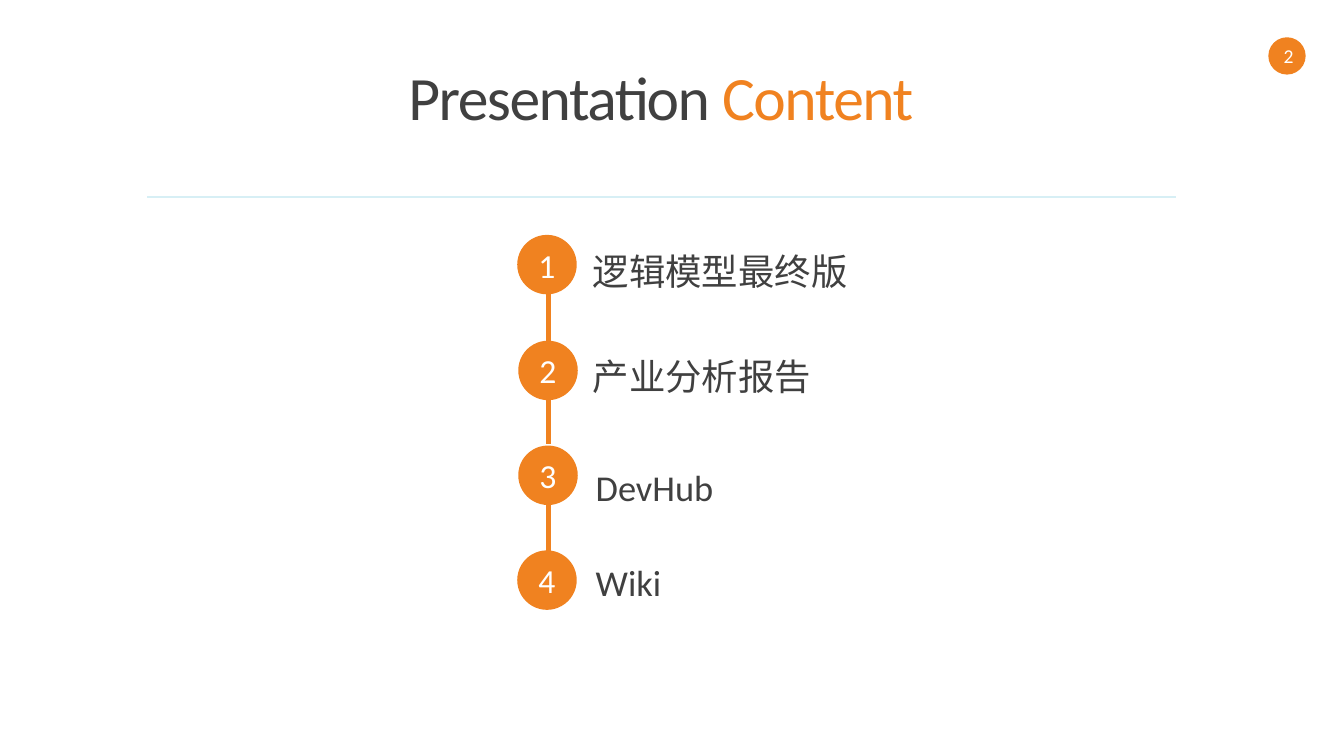
from dataclasses import dataclass

import pptx
import pptx.dml.color
import pptx.enum.shapes
import pptx.enum.text
import pptx.oxml.ns
import pptx.util
from lxml import etree
from pptx.util import Inches

RGBColor = pptx.dml.color.RGBColor
ORANGE = RGBColor(0xF0, 0x82, 0x20)
DARK_GRAY = RGBColor(0x40, 0x40, 0x40)
PALE_BLUE = RGBColor(0xD7, 0xEF, 0xF5)
WHITE = RGBColor(0xFF, 0xFF, 0xFF)

ALIGN = pptx.enum.text.PP_ALIGN
ANCHOR = pptx.enum.text.MSO_ANCHOR
AUTO_SIZE = pptx.enum.text.MSO_AUTO_SIZE

BADGE_SIZE = 0.59
LINK_X = 5.44


@dataclass(frozen=True)
class Topic:
    label: str
    badge_left: float
    badge_top: float
    label_left: float
    label_top: float
    label_width: float


@dataclass(frozen=True)
class Link:
    top: float
    bottom: float


TOPICS = [
    Topic("逻辑模型最终版", 5.13, 2.33, 5.78, 2.42, 2.75),
    Topic("产业分析报告", 5.14, 3.38, 5.78, 3.46, 2.47),
    Topic("DevHub", 5.14, 4.42, 5.81, 4.57, 1.5),
    Topic("Wiki", 5.13, 5.46, 5.81, 5.51, 0.86),
]
LINKS = [Link(2.77, 3.38), Link(3.97, 4.4), Link(4.94, 5.6)]


def add_run(paragraph, text: str, size: float, color: RGBColor):
    run = paragraph.add_run()
    run.text = text
    font_format = {"name": "Calibri", "size": pptx.util.Pt(size)}
    for attribute, value in font_format.items():
        setattr(run.font, attribute, value)
    run.font.color.rgb = color
    return run


def format_frame(frame, **values) -> None:
    for attribute, value in values.items():
        setattr(frame, attribute, value)


def add_title(slide) -> None:
    title = slide.shapes.title
    position = {"left": 3.95, "top": 0.53, "width": 6.34, "height": 0.84}
    for attribute, value in position.items():
        setattr(title, attribute, Inches(value))
    format_frame(title.text_frame, word_wrap=True, vertical_anchor=ANCHOR.TOP,
                 auto_size=AUTO_SIZE.SHAPE_TO_FIT_TEXT)
    paragraph = title.text_frame.paragraphs[0]
    paragraph.alignment = ALIGN.LEFT
    for text, color in (("Presentation ", DARK_GRAY), ("Content", ORANGE)):
        run = add_run(paragraph, text, 44, color)
        run.font._element.set("spc", "-110")


def add_line(slide, start: tuple[float, float], end: tuple[float, float],
             color: RGBColor, width: float) -> None:
    line = slide.shapes.add_connector(
        pptx.enum.shapes.MSO_CONNECTOR.STRAIGHT,
        *(Inches(value) for value in start + end))
    line.line.color.rgb = color
    line.line.width = pptx.util.Pt(width)
    etree.SubElement(line._element.spPr, pptx.oxml.ns.qn("a:effectLst"))


def add_badge(slide, left: float, top: float, diameter: float,
              number: int, size: float) -> None:
    """Draw an orange circle with a number in it."""
    badge = slide.shapes.add_shape(
        pptx.enum.shapes.MSO_SHAPE.OVAL,
        *(Inches(value) for value in (left, top, diameter, diameter)))
    badge.shadow.inherit = False
    badge.fill.solid()
    badge.fill.fore_color.rgb = ORANGE
    badge.line.fill.background()
    format_frame(badge.text_frame, vertical_anchor=ANCHOR.MIDDLE)
    paragraph = badge.text_frame.paragraphs[0]
    paragraph.alignment = ALIGN.CENTER
    add_run(paragraph, str(number), size, WHITE)


def add_label(slide, topic: Topic) -> None:
    label = slide.shapes.add_textbox(
        Inches(topic.label_left), Inches(topic.label_top),
        Inches(topic.label_width), Inches(0.54))
    format_frame(label.text_frame, word_wrap=False,
                 auto_size=AUTO_SIZE.SHAPE_TO_FIT_TEXT)
    add_run(label.text_frame.paragraphs[0], topic.label, 26, DARK_GRAY)


def main() -> None:
    presentation = pptx.Presentation()
    presentation.slide_width = Inches(13.33)
    presentation.slide_height = Inches(7.5)
    title_only = presentation.slide_layouts.get_by_name("Title Only")
    slide = presentation.slides.add_slide(title_only)

    add_title(slide)
    add_line(slide, (1.46, 1.95), (11.66, 1.95), PALE_BLUE, 1.5)
    add_badge(slide, 12.58, 0.37, 0.37, number=2, size=14)
    for link in LINKS:
        add_line(slide, (LINK_X, link.top), (LINK_X, link.bottom), ORANGE, 3)
    for number, topic in enumerate(TOPICS, start=1):
        add_badge(slide, topic.badge_left, topic.badge_top, BADGE_SIZE,
                  number, size=24)
        add_label(slide, topic)

    presentation.save("out.pptx")


if __name__ == "__main__":
    main()
